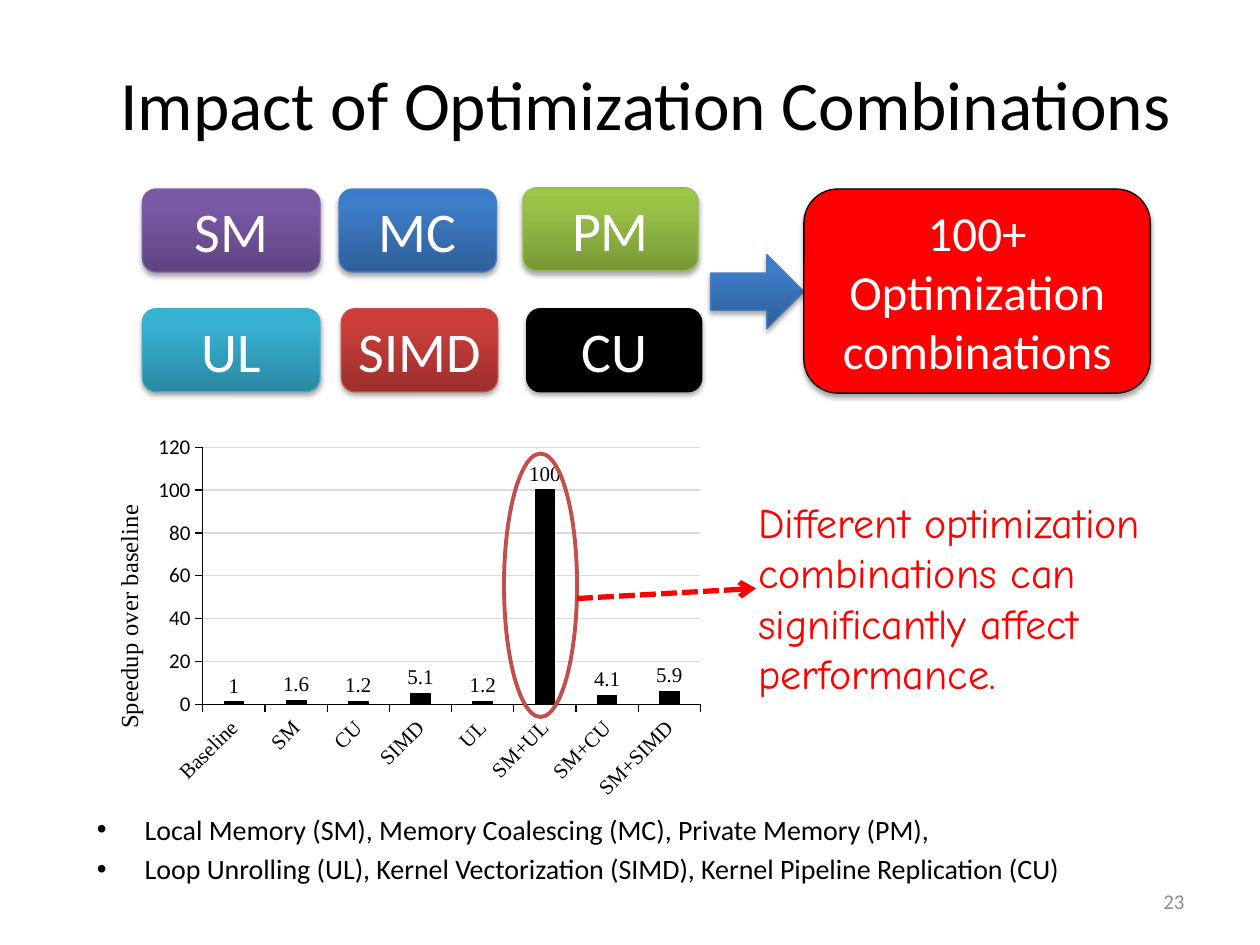
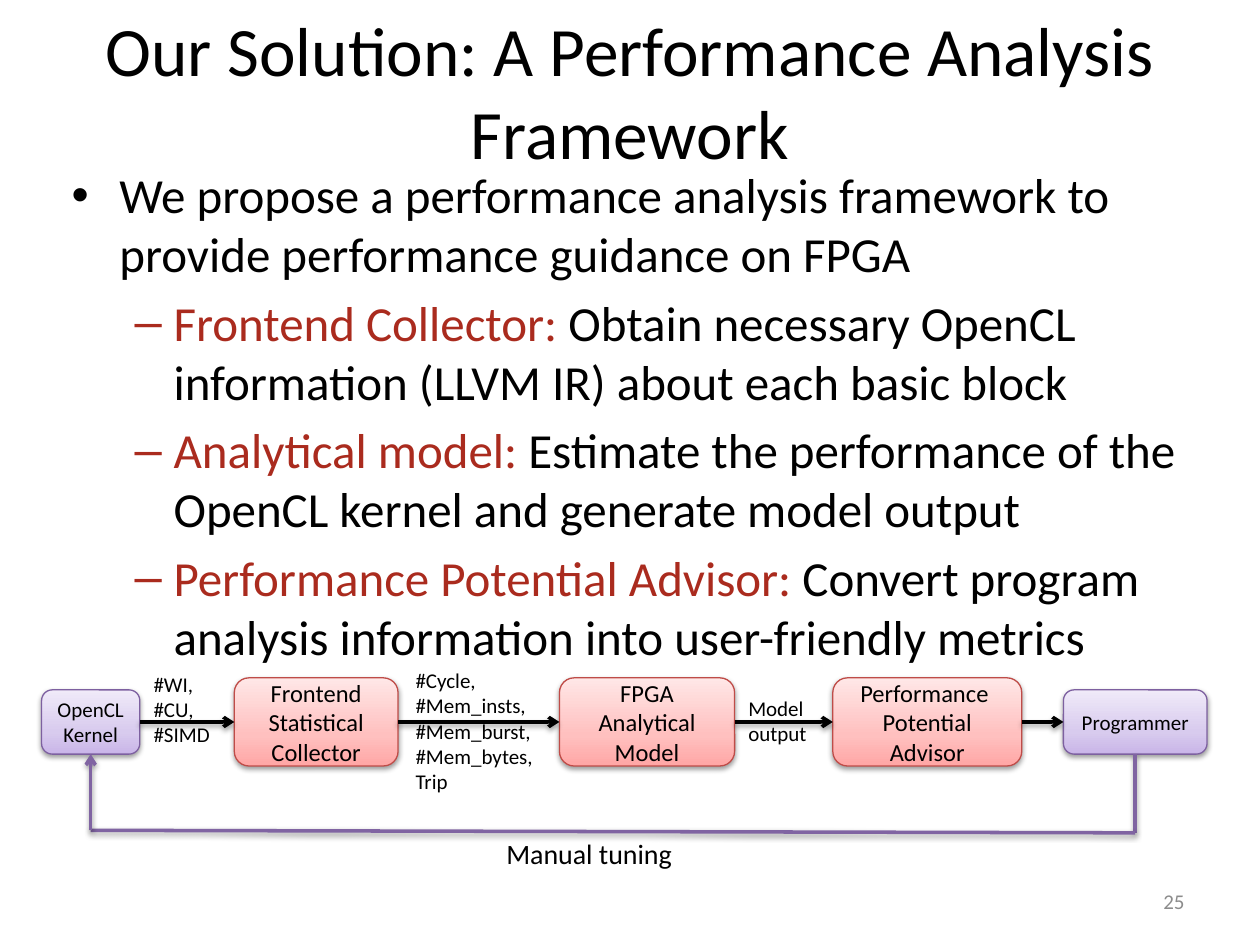
"""Build two slides on optimization combinations and a performance analysis framework."""
from copy import deepcopy
from dataclasses import dataclass
from itertools import pairwise

from lxml.etree import SubElement
from pptx import Presentation
from pptx.chart.data import CategoryChartData
from pptx.dml.color import RGBColor
from pptx.enum.chart import XL_CHART_TYPE, XL_LABEL_POSITION, XL_TICK_MARK
from pptx.enum.dml import MSO_LINE
from pptx.enum.shapes import MSO_CONNECTOR, MSO_SHAPE
from pptx.enum.text import MSO_ANCHOR, PP_ALIGN
from pptx.oxml import parse_xml
from pptx.oxml.ns import nsdecls, qn
from pptx.util import Inches, Pt


@dataclass(frozen=True)
class Theme:
    sans: str = "Calibri"
    serif: str = "Times New Roman"
    hand: str = "Comic Neue"
    black: str = "000000"
    white: str = "FFFFFF"
    gray: str = "8C8C8C"
    grid: str = "D9D9D9"
    red: str = "FF0000"
    brick: str = "C0504D"
    term: str = "AA2B1E"
    loop: str = "8064A2"
    title_size: float = 39.6
    tile_size: int = 32
    large_size: int = 28
    note_size: int = 24
    body_size: int = 16
    node_size: int = 14
    small_size: int = 12


theme = Theme()
strong_stops = (0, 80, 100)
pale_stops = (0, 35, 100)
purple = ("5F4480", "7B58A6", "7C57A8"), "7D60A0"
teal = ("2A88A2", "37B1D2", "34B4D6"), "46AAC5"
blue = ("2F5F99", "3D7CC7", "3A7CCB"), "4B7EBC"
crimson = ("9C2F2D", "CB3E3A", "CE3B37"), "BF4C48"
green = ("779737", "9BC348", "9DC746"), "98B955"
solid_black = (theme.black,), theme.black
solid_red = (theme.red,), theme.black
lilac = ("C9B5E8", "D8CBEE", "F0EAF9"), "7D60A0"
pink = ("FFA6A5", "FFC0BF", "FFE7E7"), "BF4C48"


def write(shape, lines, size, color=theme.black, font=theme.sans,
          align=PP_ALIGN.LEFT, anchor=MSO_ANCHOR.TOP, bullets=None):
    frame = shape.text_frame
    for name, value in {"word_wrap": True, "vertical_anchor": anchor}.items():
        setattr(frame, name, value)
    for index, line in enumerate(lines):
        para = frame.paragraphs[0] if index == 0 else frame.add_paragraph()
        para.alignment = align
        if bullets:
            level, mark, margin, indent = bullets[index]
            para.level = level
            if index:
                para.space_before = Pt(size * 0.2)
            props = para._p.get_or_add_pPr()
            props.set("marL", str(Inches(margin)))
            props.set("indent", str(Inches(indent)))
            SubElement(props, qn("a:buFont"), typeface="Arial")
            SubElement(props, qn("a:buChar"), char=mark)
        spans = [(line, color)] if isinstance(line, str) else line
        for text, span_color in spans:
            span = para.add_run()
            span.text = text
            for name, value in {"name": font, "size": Pt(size), "bold": False}.items():
                setattr(span.font, name, value)
            span.font.color.rgb = RGBColor.from_string(span_color)


def style(shape, line, width=0.75, colors=(), stops=strong_stops, shadow=None, arrow=False):
    props = shape._element.spPr
    if len(colors) == 1:
        shape.fill.solid()
        shape.fill.fore_color.rgb = RGBColor.from_string(colors[0])
    elif colors:
        shape.fill.gradient()
        shape.fill.gradient_angle = 90
        stop_list = props.find(qn("a:gradFill")).find(qn("a:gsLst"))
        stop_list.append(deepcopy(stop_list[-1]))
        for stop, color, place in zip(shape.fill.gradient_stops, colors, stops):
            stop.color.rgb = RGBColor.from_string(color)
            stop.position = place / 100
    shape.line.color.rgb = RGBColor.from_string(line)
    shape.line.width = Pt(width)
    if arrow:
        SubElement(props.find(qn("a:ln")), qn("a:tailEnd"), type="arrow")
    effects = SubElement(props, qn("a:effectLst"))
    if shadow:
        alpha, distance = shadow
        outer = SubElement(effects, qn("a:outerShdw"), blurRad=str(Pt(3.1)),
                           dist=str(Pt(distance)), dir="5400000", rotWithShape="0")
        tint = SubElement(outer, qn("a:srgbClr"), val=theme.black)
        SubElement(tint, qn("a:alpha"), val=str(alpha * 1000))


strong_shadow = (35, 1.8)
pale_shadow = (38, 1.6)
middle = {"align": PP_ALIGN.CENTER, "anchor": MSO_ANCHOR.MIDDLE}

deck = Presentation()
deck.slide_width, deck.slide_height = Inches(10), Inches(7.5)
pages = []
for title, number, area in [
    ("Impact of Optimization Combinations", "23", (0.5, 0.3, 9.25, 1.03)),
    ("Our Solution: A Performance Analysis Framework", "25", (0.5, 0.24, 9, 0.95)),
]:
    page = deck.slides.add_slide(deck.slide_layouts[6])
    box = page.shapes.add_textbox(*map(Inches, area))
    write(box, [title], theme.title_size, **middle)
    box = page.shapes.add_textbox(*map(Inches, (7.17, 6.95, 2.33, 0.4)))
    write(box, [number], theme.small_size, theme.gray,
          align=PP_ALIGN.RIGHT, anchor=MSO_ANCHOR.MIDDLE)
    pages.append(page)
impact, framework = pages

box = impact.shapes.add_textbox(*map(Inches, (0.67, 6.4, 8.18, 0.8)))
write(box, [
    "Local Memory (SM), Memory Coalescing (MC), Private Memory (PM),",
    "Loop Unrolling (UL), Kernel Vectorization (SIMD), Kernel Pipeline Replication (CU)",
], theme.body_size, bullets=[(0, "•", 0.38, -0.38)] * 2)

for label, left, top, width, (colors, edge) in [
    ("SM", 1.13, 1.5, 1.41, purple),
    ("UL", 1.13, 2.45, 1.41, teal),
    ("MC", 2.69, 1.5, 1.25, blue),
    ("SIMD", 2.71, 2.45, 1.24, crimson),
    ("PM", 4.15, 1.49, 1.39, green),
    ("CU", 4.18, 2.45, 1.39, solid_black),
]:
    tile = impact.shapes.add_shape(MSO_SHAPE.ROUNDED_RECTANGLE,
                                   *map(Inches, (left, top, width, 0.66)))
    style(tile, edge, colors=colors, shadow=strong_shadow)
    write(tile, [label], theme.tile_size, theme.white, **middle)

arrow = impact.shapes.add_shape(MSO_SHAPE.RIGHT_ARROW, *map(Inches, (5.64, 2.02, 0.74, 0.59)))
style(arrow, blue[1], colors=blue[0], shadow=strong_shadow)
total = impact.shapes.add_shape(MSO_SHAPE.ROUNDED_RECTANGLE,
                                *map(Inches, (6.38, 1.5, 2.75, 1.62)))
style(total, solid_red[1], colors=solid_red[0], shadow=strong_shadow)
write(total, ["100+", "Optimization combinations"], theme.large_size, theme.white, **middle)

speedups = CategoryChartData()
speedups.categories = ["Baseline", "SM", "CU", "SIMD", "UL", "SM+UL", "SM+CU", "SM+SIMD"]
speedups.add_series("Series 1", [1, 1.6, 1.2, 5.1, 1.2, 100, 4.1, 5.9])
chart = impact.shapes.add_chart(XL_CHART_TYPE.COLUMN_CLUSTERED,
                                *map(Inches, (0.66, 3.4, 5, 3)), speedups).chart
chart.has_legend = chart.has_title = False
black = RGBColor.from_string(theme.black)
plot = chart.plots[0]
for name, value in {"gap_width": 219, "overlap": -27, "vary_by_categories": False}.items():
    setattr(plot, name, value)
series = plot.series[0]
series.format.fill.solid()
series.format.fill.fore_color.rgb = black
series.format.line.color.rgb = black
series.format.line.width = Pt(0.75)
labels = series.data_labels
labels.show_value = True
labels.position = XL_LABEL_POSITION.OUTSIDE_END

categories, values = chart.category_axis, chart.value_axis
for name, value in {"minimum_scale": 0, "maximum_scale": 120, "major_unit": 20,
                    "has_major_gridlines": True, "has_title": True}.items():
    setattr(values, name, value)
values.major_gridlines.format.line.color.rgb = RGBColor.from_string(theme.grid)
values.major_gridlines.format.line.width = Pt(0.75)
axis_span = values.axis_title.text_frame.paragraphs[0].add_run()
axis_span.text = "Speedup over baseline"
for axis in (categories, values):
    axis.major_tick_mark = XL_TICK_MARK.OUTSIDE
    axis.minor_tick_mark = XL_TICK_MARK.NONE
    axis.format.line.color.rgb = black
    axis.format.line.width = Pt(0.75)
for font, face, size in [
    (chart.font, theme.sans, 10),
    (labels.font, theme.serif, theme.small_size),
    (categories.tick_labels.font, theme.serif, theme.small_size),
    (values.tick_labels.font, theme.sans, theme.small_size),
    (axis_span.font, theme.serif, theme.node_size),
]:
    for name, value in {"name": face, "size": Pt(size), "bold": False}.items():
        setattr(font, name, value)
    font.color.rgb = black
categories._element.find(qn("c:txPr")).find(qn("a:bodyPr")).set("rot", "-2700000")
for node, index, target, places in [
    (chart._chartSpace.chart.plotArea, 0, '<c:layoutTarget val="inner"/>',
     {"x": 0.19, "y": 0.05, "w": 0.79, "h": 0.68}),
    (values.axis_title._element, 1, "", {"x": 0.04, "y": 0.19}),
]:
    for previous in node.findall(qn("c:layout")):
        node.remove(previous)
    modes = "".join(f'<c:{key}Mode val="edge"/>' for key in "xy")
    sizes = "".join(f'<c:{key} val="{value}"/>' for key, value in places.items())
    node.insert(index, parse_xml(f'<c:layout {nsdecls("c")}><c:manualLayout>'
                                 f'{target}{modes}{sizes}</c:manualLayout></c:layout>'))

box = impact.shapes.add_textbox(*map(Inches, (5.92, 3.89, 3.83, 1.72)))
write(box, ["Different optimization combinations can significantly affect performance."],
      theme.note_size, theme.red, theme.hand)
ring = impact.shapes.add_shape(MSO_SHAPE.OVAL, *map(Inches, (4, 3.6, 0.58, 2.09)))
ring.fill.background()
style(ring, theme.brick, 2.25)
pointer = impact.shapes.add_connector(MSO_CONNECTOR.STRAIGHT,
                                      *map(Inches, (4.58, 4.75, 6, 4.67)))
pointer.line.dash_style = MSO_LINE.SQUARE_DOT
style(pointer, theme.red, 3, arrow=True)

flow_middle = 5.73
nodes = []
for lines, left, width, height, (colors, edge), size in [
    (["OpenCL", "Kernel"], 0.33, 0.78, 0.51, lilac, theme.small_size),
    (["Frontend", "Statistical Collector"], 1.86, 1.3, 0.7, pink, theme.node_size),
    (["FPGA", "Analytical", "Model"], 4.44, 1.39, 0.7, pink, theme.node_size),
    (["Performance ", "Potential", "Advisor"], 6.61, 1.5, 0.7, pink, theme.node_size),
    (["Programmer"], 8.44, 1.14, 0.51, lilac, theme.small_size),
]:
    node = framework.shapes.add_shape(
        MSO_SHAPE.ROUNDED_RECTANGLE,
        *map(Inches, (left, flow_middle - height / 2, width, height)))
    style(node, edge, colors=colors, stops=pale_stops, shadow=pale_shadow)
    write(node, lines, size, **middle)
    nodes.append(node)
for source, target in pairwise(nodes):
    link = framework.shapes.add_connector(MSO_CONNECTOR.STRAIGHT, 0, 0, 0, 0)
    link.begin_connect(source, 3)
    link.end_connect(target, 1)
    style(link, theme.black, 2, shadow=pale_shadow, arrow=True)

for lines, area, size in [
    (["#WI, #CU,", "#SIMD"], (1.12, 5.28, 0.75, 0.71), theme.small_size),
    (["#Cycle, #Mem_insts,", "#Mem_burst,", "#Mem_bytes, Trip"],
     (3.2, 5.25, 1.16, 1.11), theme.small_size),
    (["Model", "output"], (5.84, 5.47, 0.68, 0.5), theme.small_size),
    (["Manual tuning"], (3.92, 6.59, 1.55, 0.37), theme.body_size),
]:
    box = framework.shapes.add_textbox(*map(Inches, area))
    write(box, lines, size)

box = framework.shapes.add_textbox(*map(Inches, (0.47, 1.26, 9, 3.64)))
write(box, [
    "We propose a performance analysis framework to provide performance guidance on FPGA",
    [("Frontend Collector: ", theme.term),
     ("Obtain necessary OpenCL information (LLVM IR) about each basic block", theme.black)],
    [("Analytical model: ", theme.term),
     ("Estimate the performance of the OpenCL kernel and generate model output", theme.black)],
    [("Performance Potential Advisor:", theme.term),
     (" Convert program analysis information into user-friendly metrics", theme.black)],
], theme.large_size, bullets=[(0, "•", 0.38, -0.38)] + [(1, "–", 0.81, -0.31)] * 3)

kernel, programmer = nodes[0], nodes[-1]
corners = [(9.01, 5.98), (9.01, 6.61), (0.72, 6.59), (0.72, 5.98)]
for start, end in pairwise(corners):
    link = framework.shapes.add_connector(MSO_CONNECTOR.STRAIGHT, *map(Inches, start + end))
    if start == corners[0]:
        link.begin_connect(programmer, 2)
    if end == corners[-1]:
        link.end_connect(kernel, 2)
    style(link, theme.loop, 2, shadow=pale_shadow, arrow=end == corners[-1])

deck.save("out.pptx")
